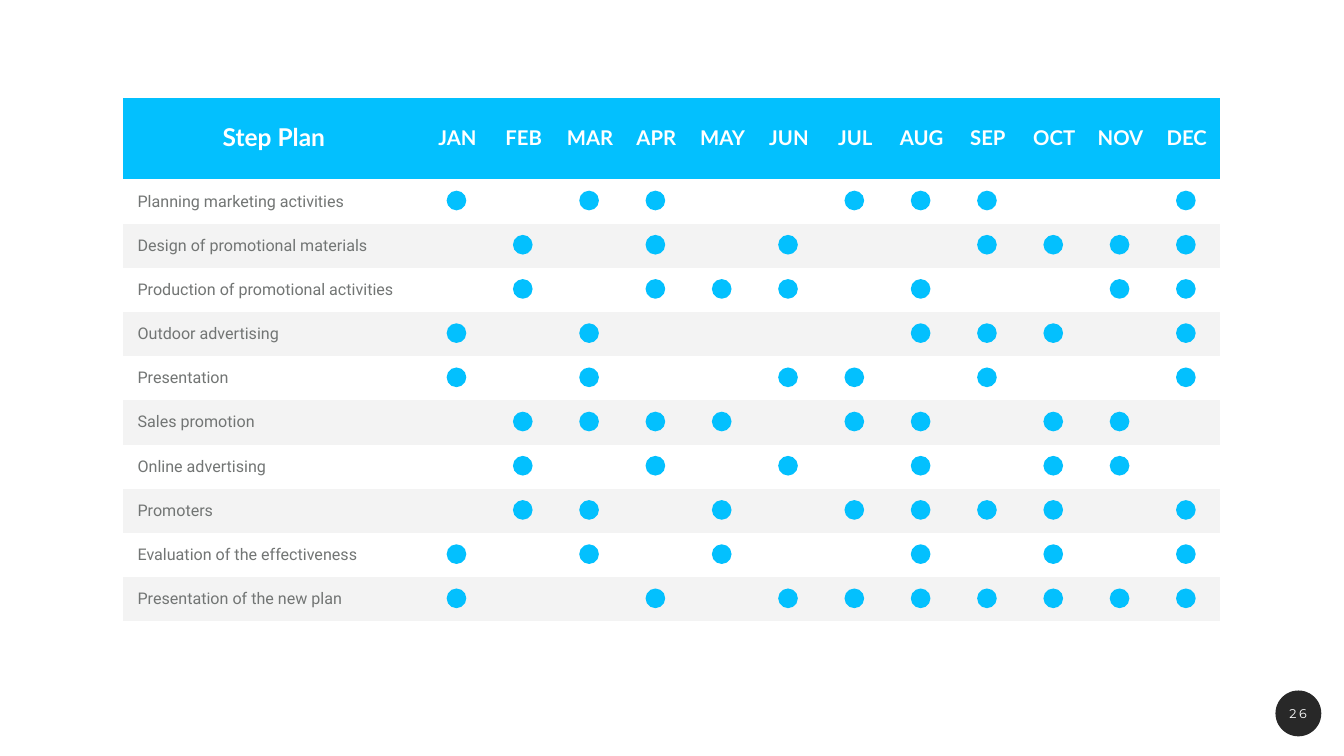
import pptx
import pptx.util
import pptx.dml.color
import pptx.enum.shapes
import pptx.enum.text
import pptx.oxml.ns

Inches = pptx.util.Inches
RGBColor = pptx.dml.color.RGBColor
ALIGN = pptx.enum.text.PP_ALIGN
MIDDLE = pptx.enum.text.MSO_ANCHOR.MIDDLE
OVAL = pptx.enum.shapes.MSO_SHAPE.OVAL

BLUE = RGBColor(0x03, 0xC0, 0xFE)
WHITE = RGBColor(0xFF, 0xFF, 0xFF)
STRIPE = RGBColor(0xF3, 0xF3, 0xF3)
GRAY = RGBColor(0x72, 0x75, 0x74)
DARK = RGBColor(0x28, 0x28, 0x28)

TITLE = "Step Plan"
PAGE = "26"
MONTHS = "JAN FEB MAR APR MAY JUN JUL AUG SEP OCT NOV DEC".split()
STEPS = [
    ("Planning marketing activities", "JAN MAR APR JUL AUG SEP DEC"),
    ("Design of promotional materials", "FEB APR JUN SEP OCT NOV DEC"),
    ("Production of promotional activities", "FEB APR MAY JUN AUG NOV DEC"),
    ("Outdoor advertising", "JAN MAR AUG SEP OCT DEC"),
    ("Presentation", "JAN MAR JUN JUL SEP DEC"),
    ("Sales promotion", "FEB MAR APR MAY JUL AUG OCT NOV"),
    ("Online advertising", "FEB APR JUN AUG OCT NOV"),
    ("Promoters", "FEB MAR MAY JUL AUG SEP OCT DEC"),
    ("Evaluation of the effectiveness", "JAN MAR MAY AUG OCT DEC"),
    ("Presentation of the new plan", "JAN APR JUN JUL AUG SEP OCT NOV DEC"),
]

LEFT, TOP, WIDTH, HEIGHT = 2.45, 1.95, 21.76, 10.38
STEP_W, HEAD_H = 5.97, 1.61
MONTH_W = (WIDTH - STEP_W) / len(MONTHS)
ROW_H = (HEIGHT - HEAD_H) / len(STEPS)
DOT = 0.39
DOT_SHIFT = -0.02
PAD, INDENT = 0.06, 0.28
NO_STYLE = "{2D5ABB26-0587-4C30-8999-92F81FD0307C}"


def add_run(p, text, size, font, color, bold=False):
    r = p.add_run()
    r.text = text
    r.font.size = pptx.util.Pt(size)
    r.font.name = font
    r.font.color.rgb = color
    r.font.bold = bold
    return r


def add_circle(s, x, y, size, color):
    sp = s.shapes.add_shape(OVAL, Inches(x), Inches(y), Inches(size), Inches(size))
    sp.shadow.inherit = False
    sp.fill.solid()
    sp.fill.fore_color.rgb = color
    sp.line.fill.background()


def set_cell(cell, color):
    cell.fill.solid()
    cell.fill.fore_color.rgb = color
    cell.vertical_anchor = MIDDLE
    cell.margin_left = cell.margin_right = Inches(PAD)
    cell.margin_top = cell.margin_bottom = Inches(PAD)
    return cell.text_frame.paragraphs[0]


def add_plan(s):
    table = s.shapes.add_table(
        len(STEPS) + 1, len(MONTHS) + 1,
        Inches(LEFT), Inches(TOP), Inches(WIDTH), Inches(HEIGHT)).table
    table.horz_banding = False
    table._tbl.tblPr.find(pptx.oxml.ns.qn("a:tableStyleId")).text = NO_STYLE
    for i, col in enumerate(table.columns):
        col.width = Inches(MONTH_W if i else STEP_W)
    for i, row in enumerate(table.rows):
        row.height = Inches(ROW_H if i else HEAD_H)

    for i, text in enumerate([TITLE] + MONTHS):
        p = set_cell(table.cell(0, i), BLUE)
        p.alignment = ALIGN.CENTER
        p.line_spacing = 0.9
        add_run(p, text, 29 if i else 35, "Lato", WHITE, True)

    for i, (step, _) in enumerate(STEPS, 1):
        for j in range(len(MONTHS) + 1):
            p = set_cell(table.cell(i, j), WHITE if i % 2 else STRIPE)
            if j == 0:
                table.cell(i, j).margin_left = Inches(INDENT)
                add_run(p, step, 23, "Roboto", GRAY)


def add_dots(s):
    x0 = LEFT + STEP_W + (MONTH_W - DOT) / 2 + DOT_SHIFT
    y0 = TOP + HEAD_H + (ROW_H - DOT) / 2 + DOT_SHIFT
    for i, (_, active) in enumerate(STEPS):
        for month in active.split():
            x = x0 + MONTHS.index(month) * MONTH_W
            add_circle(s, x, y0 + i * ROW_H, DOT, BLUE)


def add_page_number(s):
    add_circle(s, 25.31, 13.7, 0.91, DARK)
    tf = s.shapes.add_textbox(
        Inches(25.43), Inches(13.96), Inches(0.66), Inches(0.39)).text_frame
    tf.word_wrap = True
    tf.margin_left = tf.margin_right = Inches(0.04)
    tf.margin_top = tf.margin_bottom = Inches(0.04)
    p = tf.paragraphs[0]
    p.alignment = ALIGN.CENTER
    r = add_run(p, PAGE, 18, "Montserrat", WHITE)
    r._r.get_or_add_rPr().set("spc", "360")


def main():
    prs = pptx.Presentation()
    prs.slide_width = Inches(26.67)
    prs.slide_height = Inches(15)
    s = prs.slides.add_slide(prs.slide_layouts[6])
    add_plan(s)
    add_page_number(s)
    add_dots(s)
    prs.save("out.pptx")


if __name__ == "__main__":
    main()
